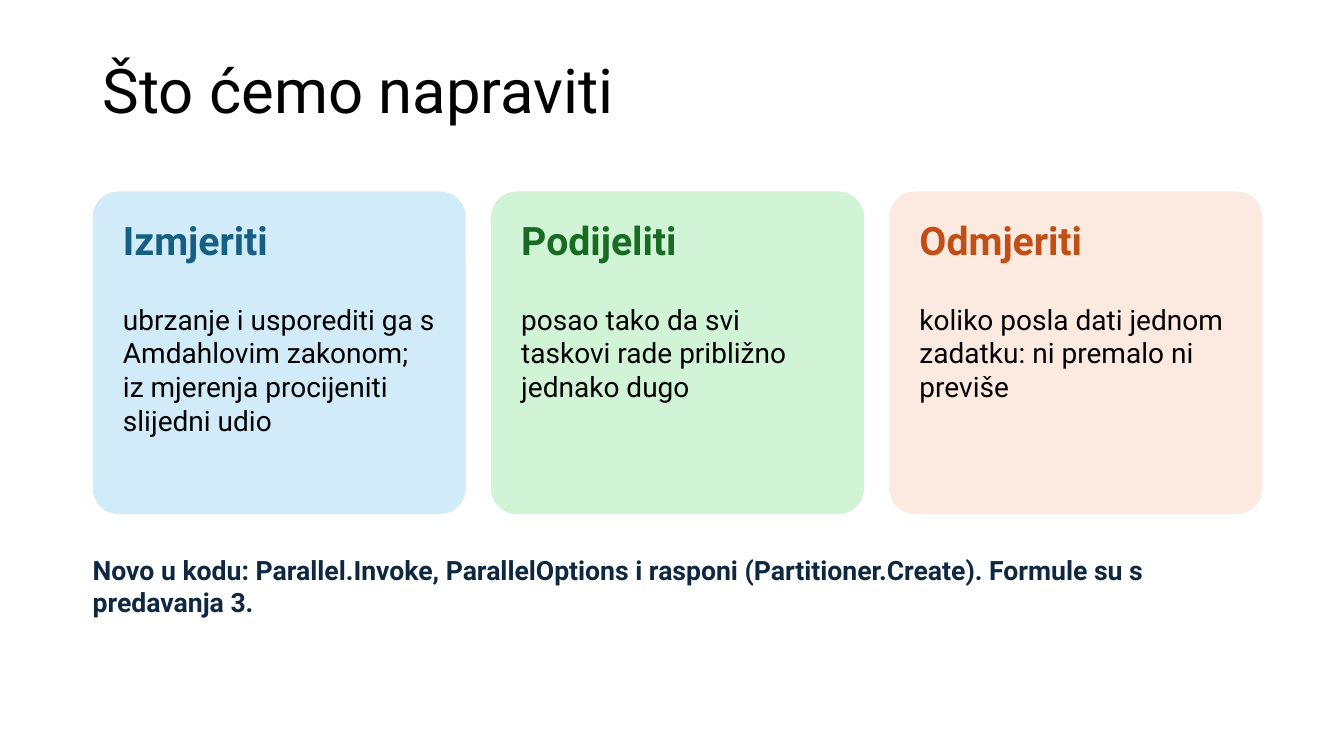
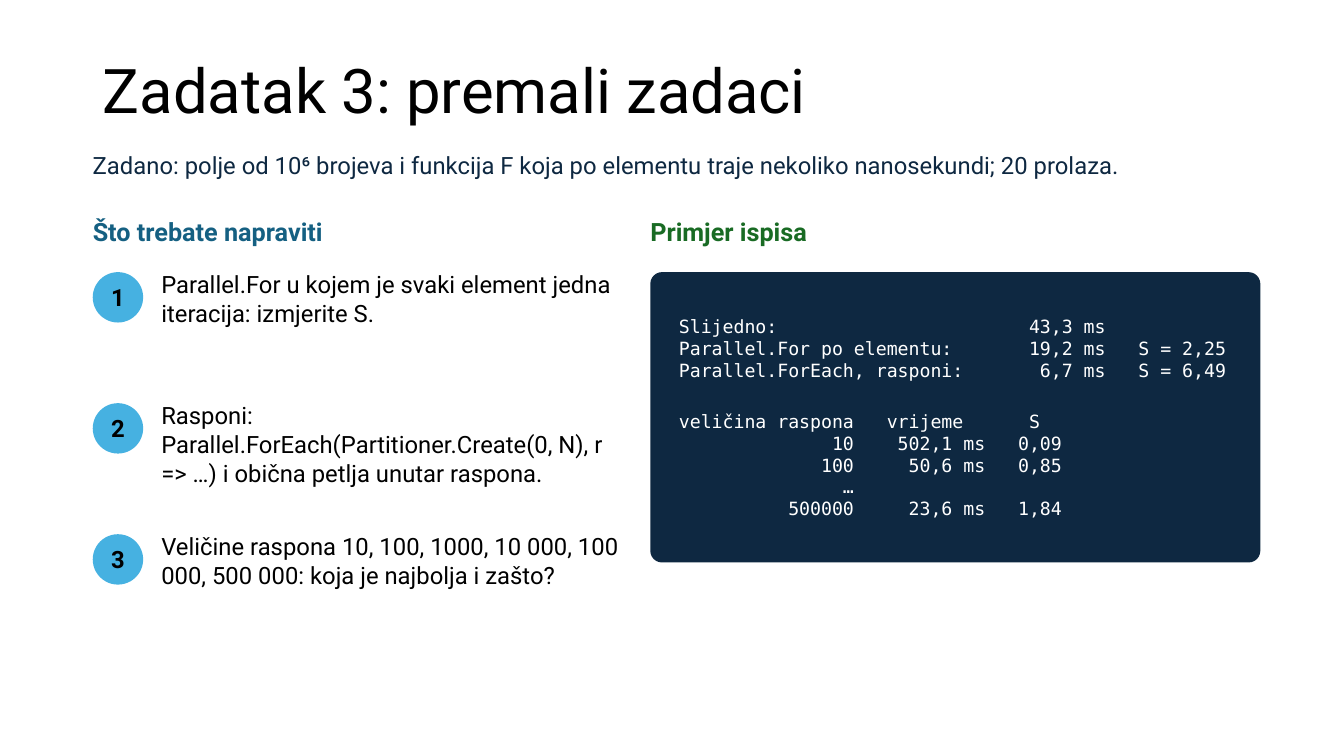
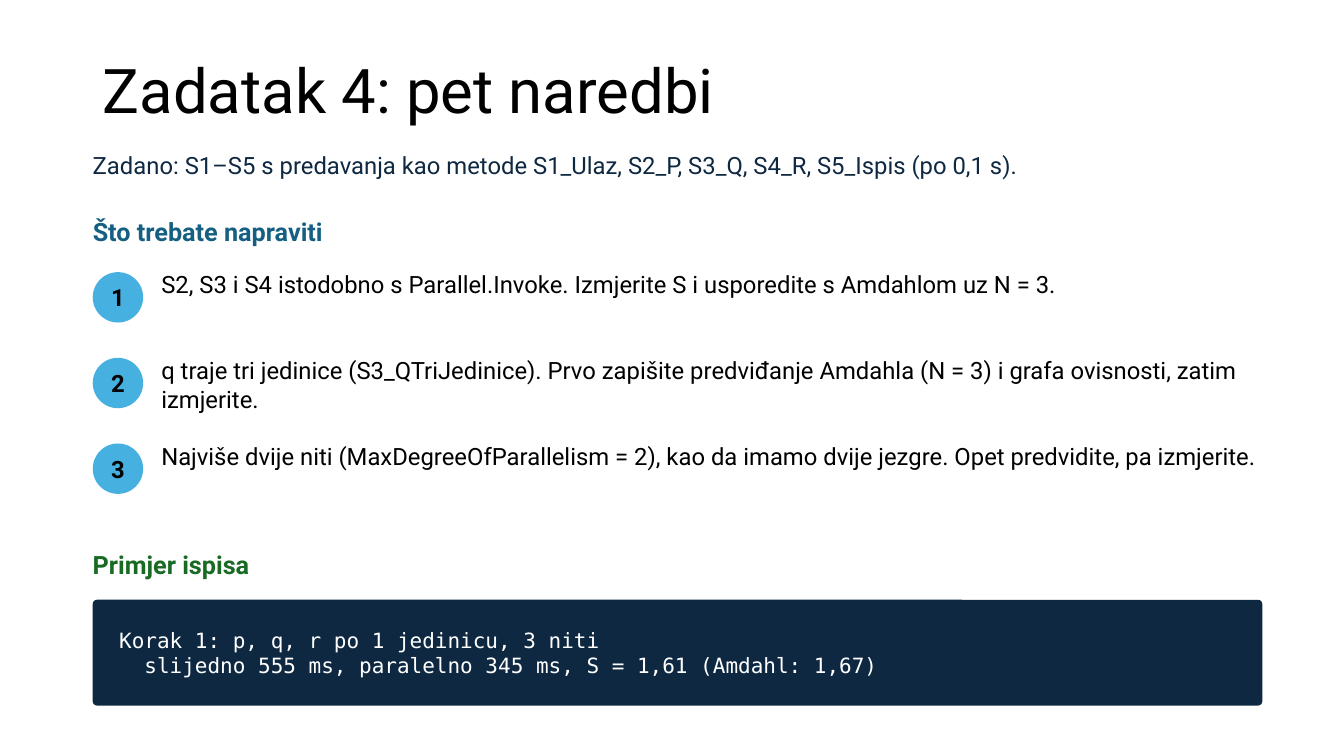
from pptx import Presentation
from pptx import util as u
from pptx.dml.color import RGBColor
from pptx.enum import shapes, text

PX = 9144  # EMU per px, 100 px to the inch
SANS, MONO = "Roboto", "DejaVu Sans Mono"
BLACK, WHITE, NAVY = "000000", "FFFFFF", "0E2841"
BLUE, GREEN, ORANGE, SKY = "156082", "196B24", "C04F15", "46B1E1"
LEFT, CONTENT_WIDTH = 92, 1160
TITLE_BOX = (LEFT, 40, 1150, 106)
GIVEN_BOX = (LEFT, 150, CONTENT_WIDTH, 50)
HEADING_TOP, HEADING_HEIGHT, STEPS_TOP = 215, 40, 270
BADGE, STEP_INDENT = 50, 68


def color(hex_code):
    return RGBColor.from_string(hex_code)


def emu(*lengths):
    return [u.Emu(length * PX) for length in lengths]


def set_insets(frame, left=0, top=0, right=0, bottom=0):
    frame.margin_left, frame.margin_top, frame.margin_right, frame.margin_bottom = emu(
        left, top, right, bottom)


def write(frame, lines, size, hex_code, bold=False, font=SANS, align=text.PP_ALIGN.LEFT):
    """Put one paragraph per line into the frame, all in the same style."""
    frame.word_wrap = True
    for number, line in enumerate(lines):
        paragraph = frame.add_paragraph() if number else frame.paragraphs[0]
        paragraph.text = line
        paragraph.alignment = align
        for run in paragraph.runs:
            run.font.name, run.font.size = font, u.Pt(size)
            run.font.bold = bold
            run.font.color.rgb = color(hex_code)


def add_label(slide, box, words, size, hex_code, bold=False):
    frame = slide.shapes.add_textbox(*emu(*box)).text_frame
    set_insets(frame)
    write(frame, [words], size, hex_code, bold)


def add_filled(slide, preset, box, fill):
    shape = slide.shapes.add_shape(preset, *emu(*box))
    shape.shadow.inherit = False
    shape.fill.solid()
    shape.fill.fore_color.rgb = color(fill)
    shape.line.fill.background()
    return shape


def add_rounded(slide, box, fill, rounding):
    shape = add_filled(slide, shapes.MSO_SHAPE.ROUNDED_RECTANGLE, box, fill)
    shape.adjustments[0] = rounding
    return shape


def add_titled_slide(prs, words):
    slide = prs.slides.add_slide(prs.slide_layouts.get_by_name("Title Only"))
    title = slide.shapes.title
    title.left, title.top, title.width, title.height = emu(*TITLE_BOX)
    write(title.text_frame, [words], 44, BLACK)
    title.text_frame.vertical_anchor = text.MSO_ANCHOR.MIDDLE
    title.text_frame.paragraphs[0].line_spacing = 0.9
    return slide


def add_card(slide, box, heading, body, accent, fill):
    left, top, width, height = box
    pad = 30
    add_rounded(slide, box, fill, 0.08)
    add_label(slide, (left + pad, top + 25, width - 2 * pad, 60), heading, 28, accent, True)
    add_label(slide, (left + pad, top + 110, width - 2 * pad, height - 130), body, 20, BLACK)


def add_steps(slide, box, pitch, steps):
    """Number the steps in round badges, one every pitch px down the box."""
    left, top, width = box
    for number, step in enumerate(steps):
        step_top = top + number * pitch
        badge = add_filled(slide, shapes.MSO_SHAPE.OVAL, (left, step_top, BADGE, BADGE), SKY)
        set_insets(badge.text_frame, 5, 2, 5, 2)
        write(badge.text_frame, [str(number + 1)], 17, BLACK, True, align=text.PP_ALIGN.CENTER)
        badge.text_frame.vertical_anchor = text.MSO_ANCHOR.MIDDLE
        add_label(slide, (left + STEP_INDENT, step_top - 2, width - STEP_INDENT, pitch),
                  step, 17, BLACK)


def add_output(slide, box, lines, size):
    """Place the sample output panel in the box, with its heading above."""
    left, top, width, _ = box
    heading_top = top - (STEPS_TOP - HEADING_TOP) if left > LEFT else top - 50
    add_label(slide, (left, heading_top, width, HEADING_HEIGHT),
              "Primjer ispisa", 18, GREEN, True)
    frame = add_rounded(slide, box, NAVY, 0.04).text_frame
    set_insets(frame, 25, 5, 10, 5)
    frame.vertical_anchor = text.MSO_ANCHOR.MIDDLE
    write(frame, lines, size, WHITE, font=MONO)
    return frame


def add_goals_slide(prs, title, cards, note):
    slide = add_titled_slide(prs, title)
    width, gap = 370, 25
    for column, card in enumerate(cards):
        add_card(slide, (LEFT + column * (width + gap), 190, width, 320), *card)
    add_label(slide, (LEFT, 550, CONTENT_WIDTH, 90), note, 19, NAVY, True)


def add_task_slide(prs, title, given, steps, steps_width, pitch, output_box, output, output_size):
    slide = add_titled_slide(prs, title)
    add_label(slide, GIVEN_BOX, given, 17, NAVY)
    add_label(slide, (LEFT, HEADING_TOP, steps_width, HEADING_HEIGHT),
              "Što trebate napraviti", 18, BLUE, True)
    add_steps(slide, (LEFT, STEPS_TOP, steps_width), pitch, steps)
    return add_output(slide, output_box, output, output_size)


def main():
    prs = Presentation()
    prs.slide_width, prs.slide_height = emu(1333, 750)

    add_goals_slide(
        prs, "Što ćemo napraviti",
        [("Izmjeriti", "ubrzanje i usporediti ga s Amdahlovim zakonom; "
          "iz mjerenja procijeniti slijedni udio", BLUE, "D1EBF8"),
         ("Podijeliti", "posao tako da svi taskovi rade približno jednako dugo",
          GREEN, "D1F4D6"),
         ("Odmjeriti", "koliko posla dati jednom zadatku: ni premalo ni previše",
          ORANGE, "FCEAE0")],
        "Novo u kodu: Parallel.Invoke, ParallelOptions i rasponi (Partitioner.Create). "
        "Formule su s predavanja 3.")

    timings = add_task_slide(
        prs, "Zadatak 3: premali zadaci",
        "Zadano: polje od 10⁶ brojeva i funkcija F koja po elementu traje "
        "nekoliko nanosekundi; 20 prolaza.",
        ["Parallel.For u kojem je svaki element jedna iteracija: izmjerite S.",
         "Rasponi: Parallel.ForEach(Partitioner.Create(0, N), r => …) "
         "i obična petlja unutar raspona.",
         "Veličine raspona 10, 100, 1000, 10 000, 100 000, 500 000: "
         "koja je najbolja i zašto?"],
        528, 130, (645, STEPS_TOP, 605, 288),
        ["Slijedno:                       43,3 ms",
         "Parallel.For po elementu:       19,2 ms   S = 2,25",
         "Parallel.ForEach, rasponi:       6,7 ms   S = 6,49",
         "veličina raspona   vrijeme      S",
         "              10    502,1 ms   0,09",
         "             100     50,6 ms   0,85",
         "               …",
         "          500000     23,6 ms   1,84"], 13)
    timings.paragraphs[3].space_before = u.Pt(21)

    add_task_slide(
        prs, "Zadatak 4: pet naredbi",
        "Zadano: S1–S5 s predavanja kao metode S1_Ulaz, S2_P, S3_Q, S4_R, S5_Ispis (po 0,1 s).",
        ["S2, S3 i S4 istodobno s Parallel.Invoke. Izmjerite S i usporedite s Amdahlom uz N = 3.",
         "q traje tri jedinice (S3_QTriJedinice). Prvo zapišite predviđanje Amdahla (N = 3) "
         "i grafa ovisnosti, zatim izmjerite.",
         "Najviše dvije niti (MaxDegreeOfParallelism = 2), kao da imamo dvije jezgre. "
         "Opet predvidite, pa izmjerite."],
        1158, 85, (LEFT, 595, CONTENT_WIDTH, 105),
        ["Korak 1: p, q, r po 1 jedinicu, 3 niti",
         "  slijedno 555 ms, paralelno 345 ms, S = 1,61 (Amdahl: 1,67)"], 15)

    prs.save("out.pptx")


if __name__ == "__main__":
    main()
